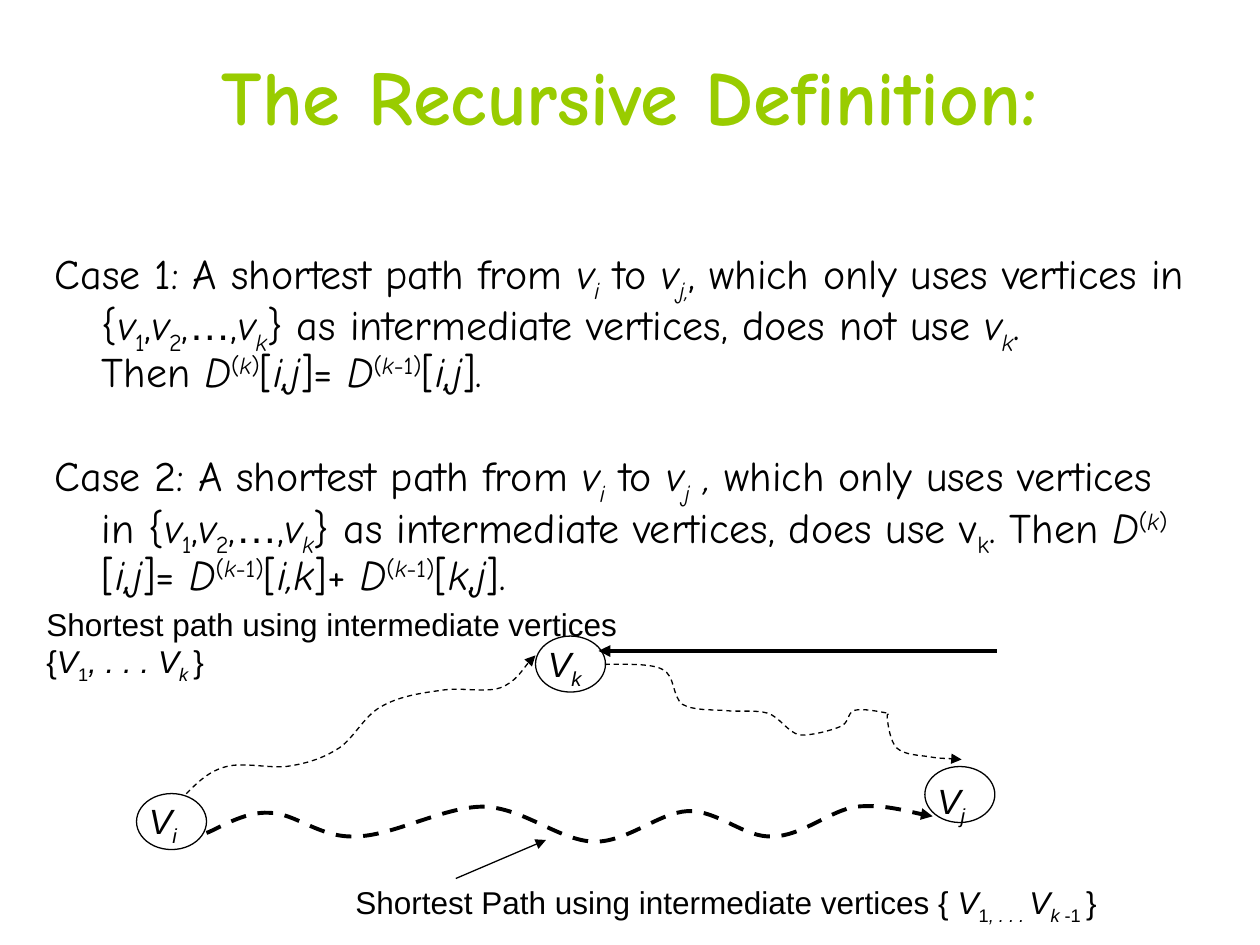
from dataclasses import dataclass
from lxml.etree import SubElement
from pptx import Presentation
from pptx.dml.color import RGBColor
from pptx.enum.dml import MSO_LINE_DASH_STYLE as Dash
from pptx.enum.shapes import MSO_CONNECTOR, MSO_SHAPE
from pptx.enum.text import MSO_ANCHOR, MSO_AUTO_SIZE, PP_ALIGN
from pptx.oxml.ns import qn
from pptx.util import Pt


@dataclass(frozen=True)
class Theme:
    """Colours, fonts, type sizes and line widths."""
    ink: RGBColor = RGBColor(0, 0, 0)
    accent: RGBColor = RGBColor(0x99, 0xCC, 0)
    display: str = "Comic Neue"
    plain: str = "Arial"
    title: int = 44
    body: int = 24
    node: int = 20
    note: int = 18
    thin: float = 0.75
    thick: float = 2.25


class SlideBuilder:
    """Draws styled elements on one slide."""

    def __init__(self, slide, theme):
        """Keep the slide and its theme."""
        self.slide, self.theme = slide, theme
        self.shapes = slide.shapes

    def place(self, shape, box):
        """Move a shape to (left, top, width, height)."""
        shape.left, shape.top, shape.width, shape.height = map(Pt, box)

    def typeset(self, paragraph, markup, size, font, color=None):
        """Fill a paragraph; '|' parts runs, * italic, _ sub, ^ super, / break."""
        base = paragraph.font
        base.size, base.name = Pt(size), font
        base.color.rgb = color or self.theme.ink
        for part in markup.split("|"):
            if part == "/":
                paragraph.add_line_break()
                continue
            text = part.lstrip("*_^")
            marks = part[:len(part) - len(text)]
            run = paragraph.add_run()
            run.text = text
            if "*" in marks:
                run.font.italic = True
            if text == "…":
                run.font.name = self.theme.plain
            for mark, baseline in (("_", "-25000"), ("^", "30000")):
                if mark in marks:
                    run._r.get_or_add_rPr().set("baseline", baseline)

    def title(self, text, box):
        """Format the title placeholder."""
        title = self.shapes.title
        self.place(title, box)
        title.text_frame.vertical_anchor = MSO_ANCHOR.MIDDLE
        paragraph = title.text_frame.paragraphs[0]
        paragraph.alignment = PP_ALIGN.CENTER
        paragraph.font.bold = True
        self.typeset(paragraph, text, self.theme.title, self.theme.display,
                     self.theme.accent)

    def cases(self, items, box):
        """Fill the body placeholder with (markup, space before) items."""
        body = self.slide.placeholders[1]
        self.place(body, box)
        frame = body.text_frame
        frame.auto_size = MSO_AUTO_SIZE.NONE
        for index, (markup, space) in enumerate(items):
            paragraph = frame.add_paragraph() if index else frame.paragraphs[0]
            paragraph.line_spacing = 0.9
            paragraph.space_before = Pt(space)
            properties = paragraph._p.get_or_add_pPr()
            properties.set("marL", str(Pt(27)))
            properties.set("indent", str(Pt(-27)))
            SubElement(properties, qn("a:buNone"))
            self.typeset(paragraph, markup, self.theme.body, self.theme.display)

    def label(self, markup, box, size, wrap=False):
        """Add a plain text box."""
        label = self.shapes.add_textbox(*map(Pt, box))
        frame = label.text_frame
        frame.word_wrap = wrap
        frame.auto_size = MSO_AUTO_SIZE.SHAPE_TO_FIT_TEXT
        self.typeset(frame.paragraphs[0], markup, size, self.theme.plain)

    def node(self, left, top):
        """Add an outlined vertex."""
        node = self.shapes.add_shape(MSO_SHAPE.OVAL, *map(Pt, (left, top, 40, 32)))
        node.shadow.inherit = False
        node.fill.background()
        self.stroke(node.line, self.theme.thin)

    def stroke(self, line, width, arrow=None):
        """Style a line, with an arrowhead at headEnd or tailEnd if named."""
        line.color.rgb = self.theme.ink
        line.width = Pt(width)
        if arrow:
            SubElement(line._get_or_add_ln(), qn(f"a:{arrow}"), type="triangle")

    def arrow(self, start, end, width, arrow="tailEnd"):
        """Add a straight arrow."""
        line = self.shapes.add_connector(MSO_CONNECTOR.STRAIGHT,
                                         *map(Pt, start + end))
        self.stroke(line.line, width, arrow)
        SubElement(line._element.spPr, qn("a:effectLst"))

    def curve(self, points, width):
        """Add a dashed arrow along Bezier points: start, then triples."""
        start, *rest = [(Pt(x), Pt(y)) for x, y in points]
        builder = self.shapes.build_freeform(*start)
        builder.add_line_segments(rest, close=False)
        curve = builder.convert_to_shape()
        steps = list(curve._element.iter(qn("a:lnTo")))
        outline = steps[0].getparent()
        for triple in zip(steps[::3], steps[1::3], steps[2::3]):
            bezier = SubElement(outline, qn("a:cubicBezTo"))
            for step in triple:
                bezier.append(step[0])
                outline.remove(step)
        curve.shadow.inherit = False
        curve.fill.background()
        curve.line.dash_style = Dash.DASH
        self.stroke(curve.line, width, "tailEnd")


VERTICES = "{|*v|_1|,|*v|_2|,|…|,|*v|_*k|} as intermediate vertices, "
RESULT = "*D|^(|^*k|^)|[|*i,j|]= |*D|^(|^*k|^-1)|["
CASE_1 = ("Case 1: A shortest path from |*v|_*i| to |*v|_*j,|, which only uses "
          f"vertices in {VERTICES}does not use |*v|_*k|.|/|Then |{RESULT}|*i,j|].")
CASE_2 = ("Case 2: A shortest path from |*v|_*i| to |*v|_*j|* , |which only uses "
          f"vertices in {VERTICES}does use v|_k|. Then |{RESULT}|*i,k|]+ |"
          "*D|^(|^*k|^-1)|[|*k|,|*j|].")
DIRECT = [(118, 476), (124, 474), (139.5, 463.5), (154, 464.5),
          (168.5, 464.5), (183, 479), (203, 478),
          (224, 478), (253.5, 461), (276, 461),
          (299, 461.5), (319, 480), (339, 481),
          (358.5, 481.5), (376, 464.5), (393, 463.5),
          (410.5, 463), (425.5, 479), (441.5, 478),
          (458, 478), (474.5, 463), (489.5, 461),
          (504.5, 459.5), (523.5, 465), (533, 466.5)]
INTO_K = [(106.5, 453.5), (113, 447), (119.5, 440.5), (129.5, 438),
          (139, 435.5), (153.5, 439), (163.5, 438),
          (174, 436.5), (183, 434), (192, 428.5),
          (201.5, 423.5), (207.5, 409.5), (217.5, 404),
          (227.5, 398), (240.5, 396), (252, 394.5),
          (263.5, 392.5), (277, 396), (286, 393),
          (295, 389.5), (301.5, 378), (306, 374.5)]
FROM_K = [(345.5, 379.5), (351.5, 380), (371.5, 378.5), (378.5, 382.5),
          (386, 386), (384, 398), (390, 402.5),
          (396, 406), (406, 405.5), (414, 406),
          (422.5, 407), (431.5, 405.5), (438.5, 407.5),
          (445.5, 409.5), (450, 418.5), (457, 420),
          (463.5, 420.5), (474.5, 417.5), (479.5, 415.5),
          (485.5, 413.5), (484, 407.5), (488, 406),
          (493, 404.5), (504, 407), (507, 407.5),
          (510, 408), (506, 407), (507, 410.5),
          (507.5, 414), (508.5, 423.5), (512.5, 427.5),
          (517, 431.5), (525, 431.5), (531.5, 432.5),
          (537, 433.5), (546, 433.5), (549.5, 434)]
# name, vertex corner, label top, label width
NODES = [("i", 78, 453.5, 453.5, 40), ("j", 528.5, 438, 442, 35),
         ("k", 306, 363.5, 363.5, 45)]

deck = Presentation()
deck.slide_width, deck.slide_height = Pt(720), Pt(540)
theme = Theme()
page = SlideBuilder(deck.slides.add_slide(deck.slide_layouts[1]), theme)
page.title("The Recursive Definition:", (54, 18, 612, 72))
page.cases([(CASE_1, 4.8), (CASE_2, 31)], (24, 138, 660, 210))
for name, left, top, label_top, label_width in NODES:
    page.node(left, top)
    page.label(f"*V|_*{name}", (left, label_top, label_width, 31), theme.node,
               wrap=True)
page.curve(DIRECT, theme.thick)
for detour in (INTO_K, FROM_K):
    page.curve(detour, theme.thin)
page.label("Shortest Path using intermediate vertices { |*V|_1|_*, . . . |*V|_*k|"
           "_ -1 |}", (196, 501, 448.5, 29), theme.note)
page.arrow((260.5, 502), (312, 480), theme.thin)
page.arrow((342, 372), (570, 372), theme.thick, "headEnd")
page.label("Shortest path using intermediate vertices|/|{|*V|_1|*, . . . V|_*k |}",
           (19.5, 342, 340.5, 50.5), theme.note)
deck.save("out.pptx")
